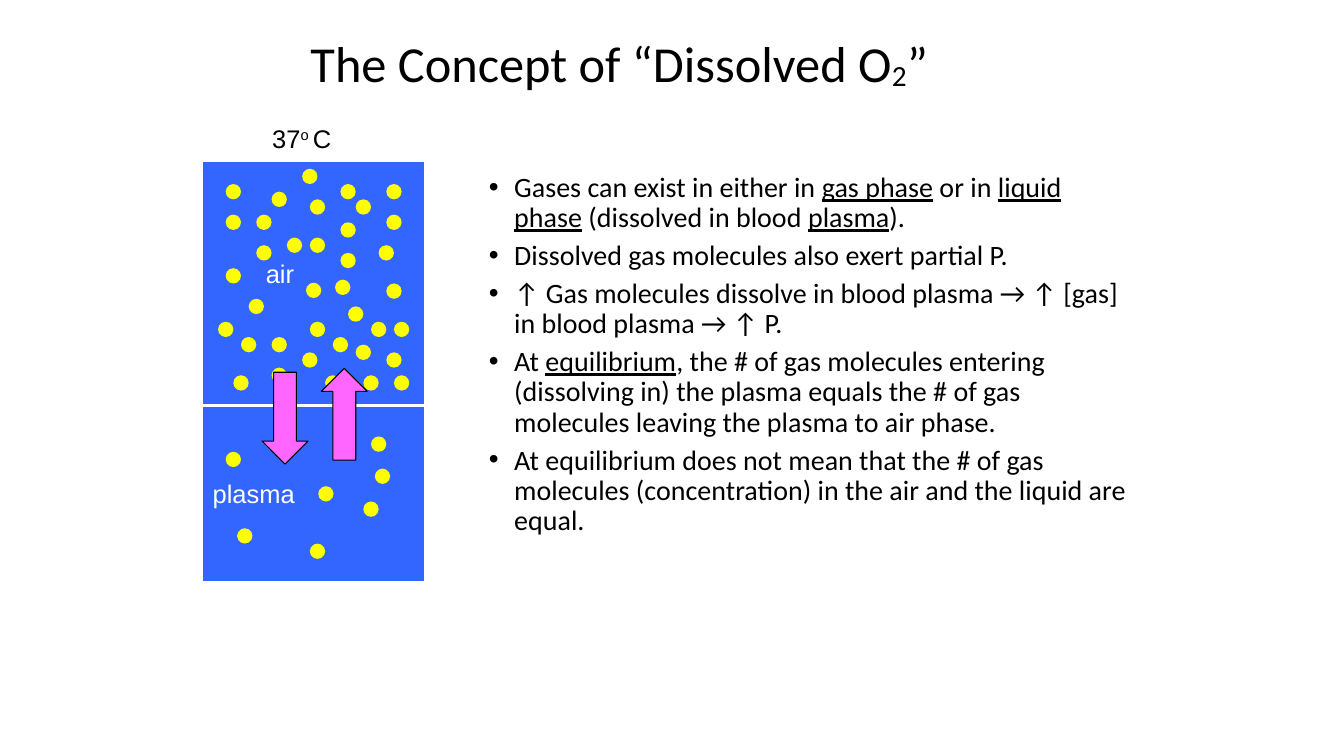
from collections import namedtuple

from lxml import etree
from pptx import Presentation
from pptx.dml.color import RGBColor
from pptx.enum.shapes import MSO_CONNECTOR, MSO_SHAPE
from pptx.enum.text import MSO_ANCHOR, MSO_AUTO_SIZE, PP_ALIGN
from pptx.oxml.ns import qn
from pptx.util import Cm, Pt

LEFT = PP_ALIGN.LEFT
MIDDLE, TOP = MSO_ANCHOR.MIDDLE, MSO_ANCHOR.TOP
NO_FIT = MSO_AUTO_SIZE.NONE
RECTANGLE, OVAL, DOWN_ARROW = MSO_SHAPE.RECTANGLE, MSO_SHAPE.OVAL, MSO_SHAPE.DOWN_ARROW
STRAIGHT = MSO_CONNECTOR.STRAIGHT

BLACK, WHITE, BLUE, YELLOW, PINK = "000000", "FFFFFF", "3366FF", "FFFF00", "FF66FF"
TITLE_ONLY = 5
TITLE_LAYOUT_NAME_SIZE = 36

Box = namedtuple("Box", "left top width height")
TITLE_BOX = Box(7.57, 0.79, 20.24, 1.75)
TANK_BOX = Box(5.11, 4.06, 5.59, 10.59)
BULLET_BOX = Box(12.07, 4.24, 16.79, 10.41)

# The tank is 29 grid steps wide; molecules, arrows and surface are placed in steps.
TANK_STEPS = 29
SURFACE_ROW = 32
MOLECULE_STEPS = 2
ARROW_STEPS = (6, 12)
MOLECULE_ROWS = {
    1: [13], 3: [3, 18, 24], 4: [9], 5: [14, 20], 7: [3, 7, 24], 8: [18],
    10: [11, 14], 11: [7, 23], 12: [18], 14: [3], 15.5: [17.3], 15.9: [13.5],
    16: [24], 18: [6], 19: [19], 21: [2, 14, 22, 25], 23: [5, 9, 17],
    24: [20], 25: [13, 24], 27: [9], 28: [4, 16, 21, 25],
    36: [22], 38: [3], 40.2: [22.5], 42.5: [15.1], 44.5: [21], 48: [4.5], 50: [14],
}

# Each run is a text and whether it is underlined.
BULLETS = [
    [("Gases can exist in either in ", False), ("gas phase", True), (" or in ", False),
     ("liquid phase", True), (" (dissolved in blood ", False), ("plasma", True),
     (").", False)],
    [("Dissolved gas molecules also exert partial P.", False)],
    [("↑ Gas molecules dissolve in blood plasma → ↑ [gas] in blood plasma → ↑ P.", False)],
    [("At ", False), ("equilibrium", True),
     (", the # of gas molecules entering (dissolving in) the plasma equals the # of gas "
      "molecules leaving the plasma to air phase.", False)],
    [("At equilibrium does not mean that the # of gas molecules (concentration) in the "
      "air and the liquid are equal.", False)],
]


def color(value):
    return RGBColor.from_string(value)


def cm_box(box):
    return [Cm(length) for length in box]


def add_span(para, text, size, font, fill, underline=False, baseline=0):
    """Add one run; baseline is its shift in percent of the text size."""
    span = para.add_run()
    span.text = text
    span.font.size = Pt(size)
    span.font.name = font
    span.font.color.rgb = color(fill)
    if underline:
        span.font.underline = True
    if baseline:
        span.font._element.set("baseline", str(baseline * 1000))


def add_filled(shapes, kind, box, fill, line=None):
    shape = shapes.add_shape(kind, *cm_box(box))
    shape.shadow.inherit = False
    shape.fill.solid()
    shape.fill.fore_color.rgb = color(fill)
    if line:
        shape.line.color.rgb = color(line)
        shape.line.width = Pt(0.75)
    else:
        shape.line.fill.background()
    return shape


def add_label(shapes, box, spans, fill):
    label = shapes.add_textbox(*cm_box(box))
    label.text_frame.word_wrap = False
    for text, baseline in spans:
        add_span(label.text_frame.paragraphs[0], text, 18.2, "Arial", fill,
                 baseline=baseline)


def fill_title(page, box):
    title = page.shapes.title
    title.left, title.top, title.width, title.height = cm_box(box)
    frame = title.text_frame
    frame.auto_size = NO_FIT
    frame.vertical_anchor = MIDDLE
    para = frame.paragraphs[0]
    para.alignment = LEFT
    para.line_spacing = 0.9
    for text, baseline in [("The Concept of “Dissolved O", 0), ("2", -8), ("”", 0)]:
        add_span(para, text, TITLE_LAYOUT_NAME_SIZE, "Calibri", BLACK, baseline=baseline)


def draw_tank(page, box):
    """Draw the air and plasma chamber with its molecules, arrows and labels."""
    shapes = page.shapes.add_group_shape().shapes
    step = box.width / TANK_STEPS

    def on_grid(column, row, columns, rows):
        return Box(box.left + column * step, box.top + row * step,
                   columns * step, rows * step)

    add_filled(shapes, RECTANGLE, box, BLUE, WHITE)

    surface_y = Cm(box.top + SURFACE_ROW * step)
    surface = shapes.add_connector(STRAIGHT, Cm(box.left), surface_y,
                                   Cm(box.left + box.width), surface_y)
    surface.line.color.rgb = color(WHITE)
    surface.line.width = Pt(2.25)
    etree.SubElement(surface._element.spPr, qn("a:effectLst"))

    for row, columns in MOLECULE_ROWS.items():
        for column in columns:
            add_filled(shapes, OVAL,
                       on_grid(column, row, MOLECULE_STEPS, MOLECULE_STEPS), YELLOW)

    for column, row, rotation in [(7.75, 27.6, 0), (15.5, 27.1, 180)]:
        arrow = add_filled(shapes, DOWN_ARROW, on_grid(column, row, *ARROW_STEPS),
                           PINK, BLACK)
        arrow.rotation = rotation

    for left, top, width, spans, fill in [
        (1.5, -1.09, 2.06, [("37", 0), ("o ", 30), ("C", 0)], BLACK),
        (1.34, 2.31, 1.22, [("air", 0)], WHITE),
        (0, 7.87, 2.59, [("plasma", 0)], WHITE),
    ]:
        add_label(shapes, Box(box.left + left, box.top + top, width, 1.04), spans, fill)


def add_bullets(page, box):
    frame = page.shapes.add_textbox(*cm_box(box)).text_frame
    frame.word_wrap = True
    frame.vertical_anchor = TOP
    for index, spans in enumerate(BULLETS):
        para = frame.add_paragraph() if index else frame.paragraphs[0]
        properties = para._p.get_or_add_pPr()
        properties.set("marL", str(Cm(0.64)))
        properties.set("indent", str(-Cm(0.64)))
        etree.SubElement(properties, qn("a:buFont")).set("typeface", "Arial")
        etree.SubElement(properties, qn("a:buChar")).set("char", "•")
        para.line_spacing = 0.9
        para.space_before = Pt(5.5 if index else 0)
        for text, underline in spans:
            add_span(para, text, 20, "Calibri", BLACK, underline)


def main():
    deck = Presentation()
    deck.slide_width, deck.slide_height = Cm(33.87), Cm(19.05)
    page = deck.slides.add_slide(deck.slide_layouts[TITLE_ONLY])
    fill_title(page, TITLE_BOX)
    add_bullets(page, BULLET_BOX)
    draw_tank(page, TANK_BOX)
    deck.save("out.pptx")


if __name__ == "__main__":
    main()
